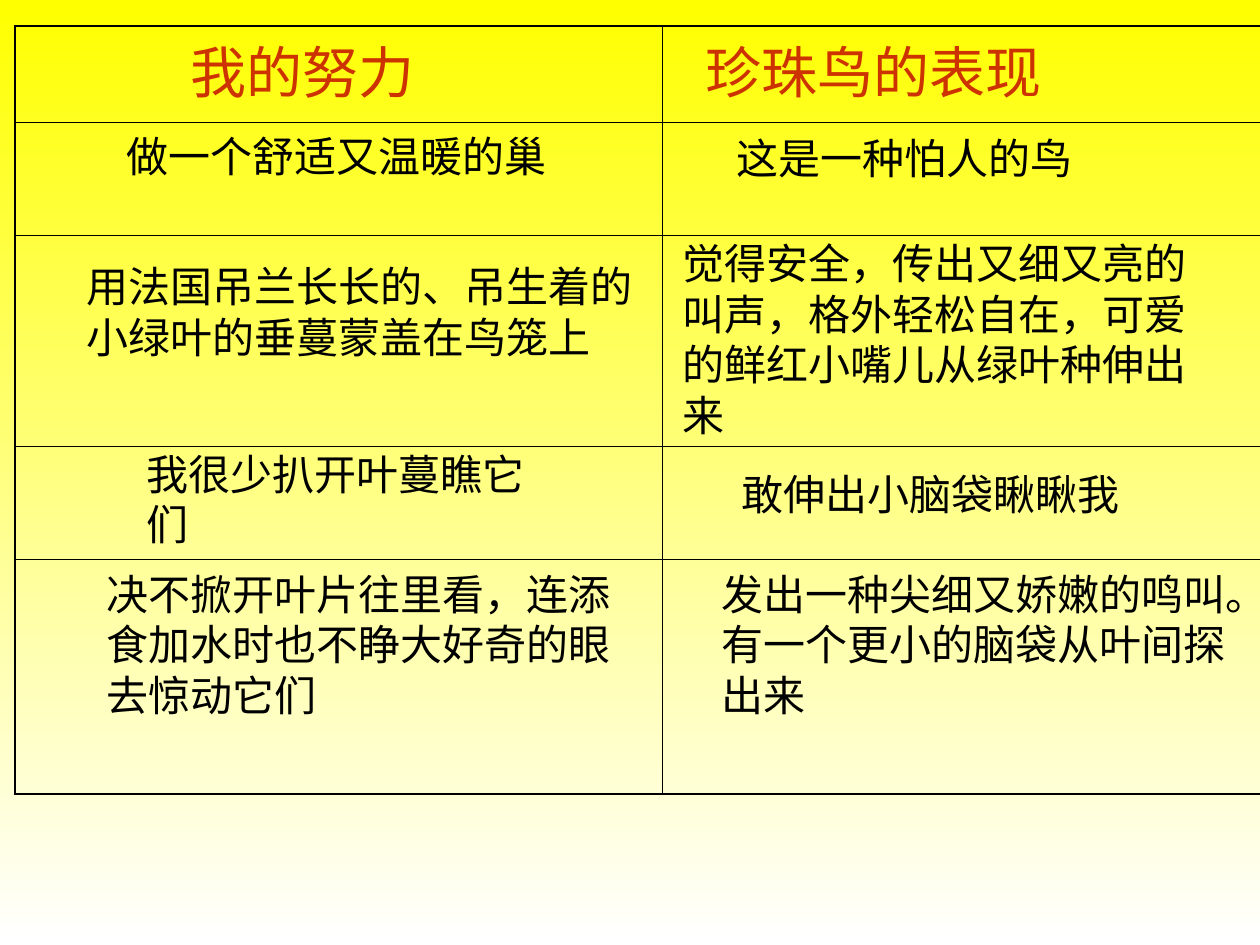
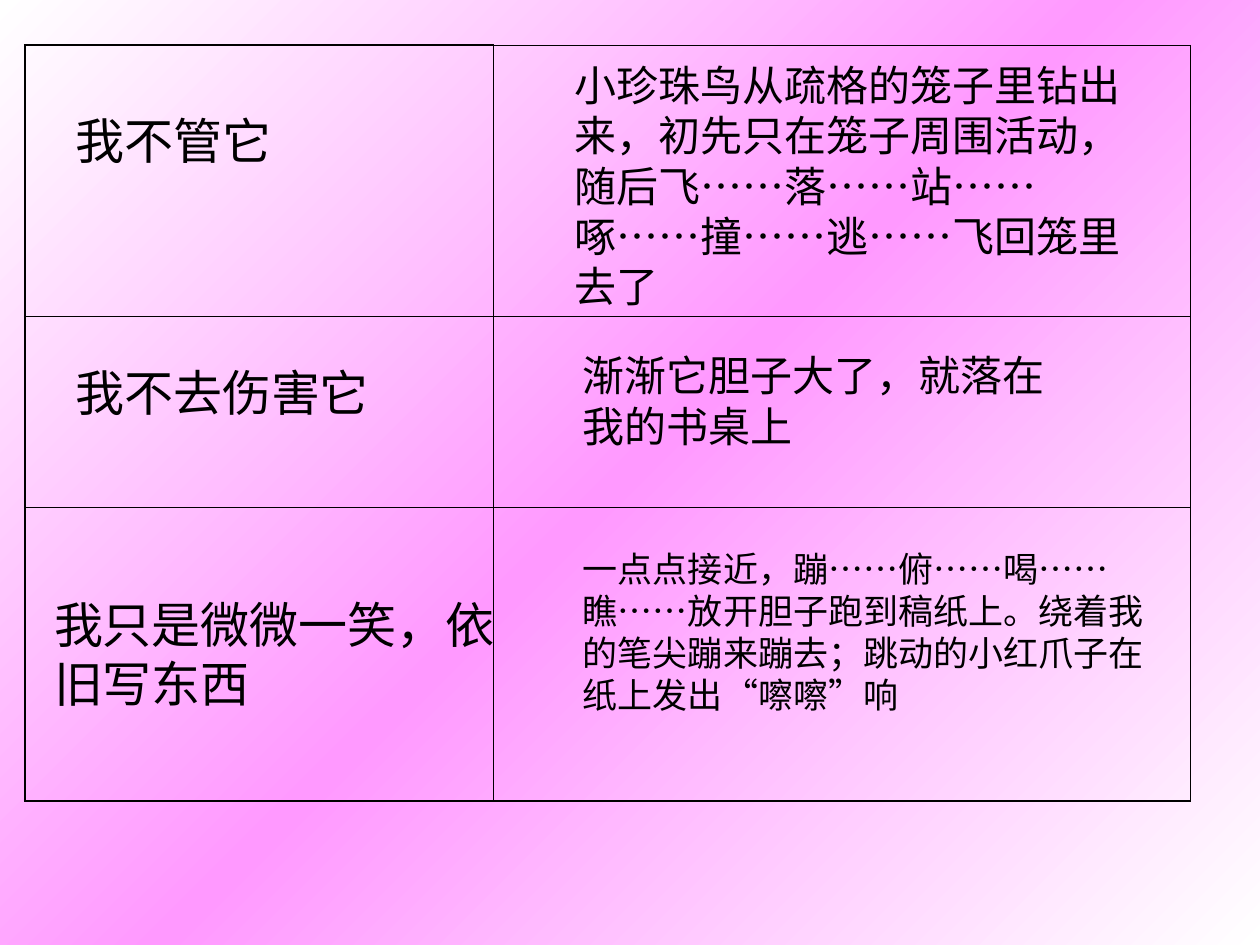
from lxml.etree import SubElement
from pptx import Presentation
from pptx.dml.color import RGBColor
from pptx.enum.text import MSO_AUTO_SIZE as AutoSize
from pptx.oxml.ns import qn
from pptx.util import Cm, Pt

INK = "000000"
HEADING = "CC3300"
YELLOW = "FFFF00"
PINK = "FF99FF"
WHITE = "FFFFFF"
LATIN = "Arial"
CHINESE = "Noto Sans CJK SC"
OUTER, INNER = 1.08, 0.45

EFFORTS_AND_REACTIONS = [
    ("我的努力", 3.6, 0.64, 5.5, 1.63, 32, HEADING),
    ("珍珠鸟的表现", 13.97, 0.64, 7.62, 1.63, 32, HEADING),
    ("做一个舒适又温暖的巢", 2.31, 2.51, 9.1, 1.27),
    ("这是一种怕人的鸟", 14.6, 2.54, 8.68, 1.27),
    ("用法国吊兰长长的、吊生着的小绿叶的垂蔓蒙盖在鸟笼上", 1.5, 5.13, 11.64, 2.28),
    ("觉得安全，传出又细又亮的叫声，格外轻松自在，可爱的鲜红小嘴儿从绿叶种伸出来",
     13.51, 4.67, 11.43, 4.32),
    ("敢伸出小脑袋瞅瞅我", 14.7, 9.32, 9.95, 1.27),
    ("决不掀开叶片往里看，连添食加水时也不睁大好奇的眼去惊动它们", 1.9, 11.33, 11, 3.3),
    ("发出一种尖细又娇嫩的鸣叫。有一个更小的脑袋从叶间探出来", 14.29, 11.33, 10.8, 3.3),
]
TRUST_GROWS = [
    ("小珍珠鸟从疏格的笼子里钻出来，初先只在笼子周围活动，随后飞……落……站……啄……撞……逃……飞回笼里去了",
     11.33, 1.07, 11.86, 5.33, 24, INK, CHINESE),
    ("我不管它", 1.27, 2.11, 8.26, 1.45, 28),
    ("渐渐它胆子大了，就落在我的书桌上", 11.5, 6.93, 9.95, 2.28),
    ("我不去伤害它", 1.27, 7.19, 7.62, 1.45, 28),
    ("我只是微微一笑，依旧写东西", 0.84, 11.86, 9.95, 2.64, 28),
    ("一点点接近，蹦……俯……喝……瞧……放开胆子跑到稿纸上。绕着我的笔尖蹦来蹦去；跳动的小红爪子在纸上发出“嚓嚓”响",
     11.5, 10.92, 12.27, 3.66, 20, INK, CHINESE),
]


def rgb(color):
    return RGBColor.from_string(color)


def add_gradient_slide(deck, colors, angle):
    slide = deck.slides.add_slide(deck.slide_layouts[6])
    slide.background.fill.gradient()
    gradient = slide.element.find(".//" + qn("a:gradFill"))
    stops = gradient.find(qn("a:gsLst"))
    stops.clear()
    for index, color in enumerate(colors):
        position = 100000 * index // (len(colors) - 1)
        stop = SubElement(stops, qn("a:gs"), pos=str(position))
        SubElement(stop, qn("a:srgbClr"), val=color)
    gradient.find(qn("a:lin")).set("ang", str(angle * 60000))
    return slide


def add_passage(slide, wording, left, top, width, height,
                size=24, color=INK, face=LATIN, wrap=True):
    passage = slide.shapes.add_textbox(Cm(left), Cm(top), Cm(width), Cm(height))
    frame = passage.text_frame
    frame.word_wrap = wrap
    frame.auto_size = AutoSize.SHAPE_TO_FIT_TEXT
    run = frame.paragraphs[0].add_run()
    run.text = wording
    run.font.size = Pt(size)
    run.font.color.rgb = rgb(color)
    run.font.name = face
    SubElement(run.font._element, qn("a:ea"), typeface=CHINESE)


def add_border(cell, side, weight):
    border = SubElement(cell._tc.get_or_add_tcPr(), qn("a:" + side), w=str(Pt(weight)))
    fill = SubElement(border, qn("a:solidFill"))
    SubElement(fill, qn("a:srgbClr"), val=INK)


def add_grid(slide, left, top, widths, heights, heavy_top=(0, 1)):
    frame = slide.shapes.add_table(len(heights), len(widths), Cm(left), Cm(top),
                                   Cm(sum(widths)), Cm(sum(heights)))
    grid = frame.table
    grid.first_row = grid.horz_banding = False
    for column, width in zip(grid.columns, widths):
        column.width = Cm(width)
    for r, height in enumerate(heights):
        grid.rows[r].height = Cm(height)
        for c in range(len(widths)):
            cell = grid.cell(r, c)
            edges = {
                "lnL": c == 0,
                "lnR": c == len(widths) - 1,
                "lnT": r == 0 and c in heavy_top,
                "lnB": r == len(heights) - 1,
            }
            for side, is_outer in edges.items():
                add_border(cell, side, OUTER if is_outer else INNER)
            cell.fill.background()


def main():
    deck = Presentation()
    deck.slide_width, deck.slide_height = Cm(25.4), Cm(19.05)

    efforts = add_gradient_slide(deck, [YELLOW, WHITE], 90)
    for passage in EFFORTS_AND_REACTIONS:
        add_passage(efforts, *passage)
    add_grid(efforts, 0.3, 0.53, [13.06, 12.14], [1.93, 2.29, 4.24, 2.29, 4.72])
    add_passage(efforts, "我很少扒开叶蔓瞧它们", 2.7, 8.91, 8.96, 1.27, wrap=False)

    trust = add_gradient_slide(deck, [WHITE, PINK, WHITE], 225)
    for passage in TRUST_GROWS:
        add_passage(trust, *passage)
    add_grid(trust, 0.5, 0.91, [9.45, 14.05], [5.46, 3.86, 5.92], heavy_top=(0,))

    deck.save("out.pptx")


if __name__ == "__main__":
    main()
